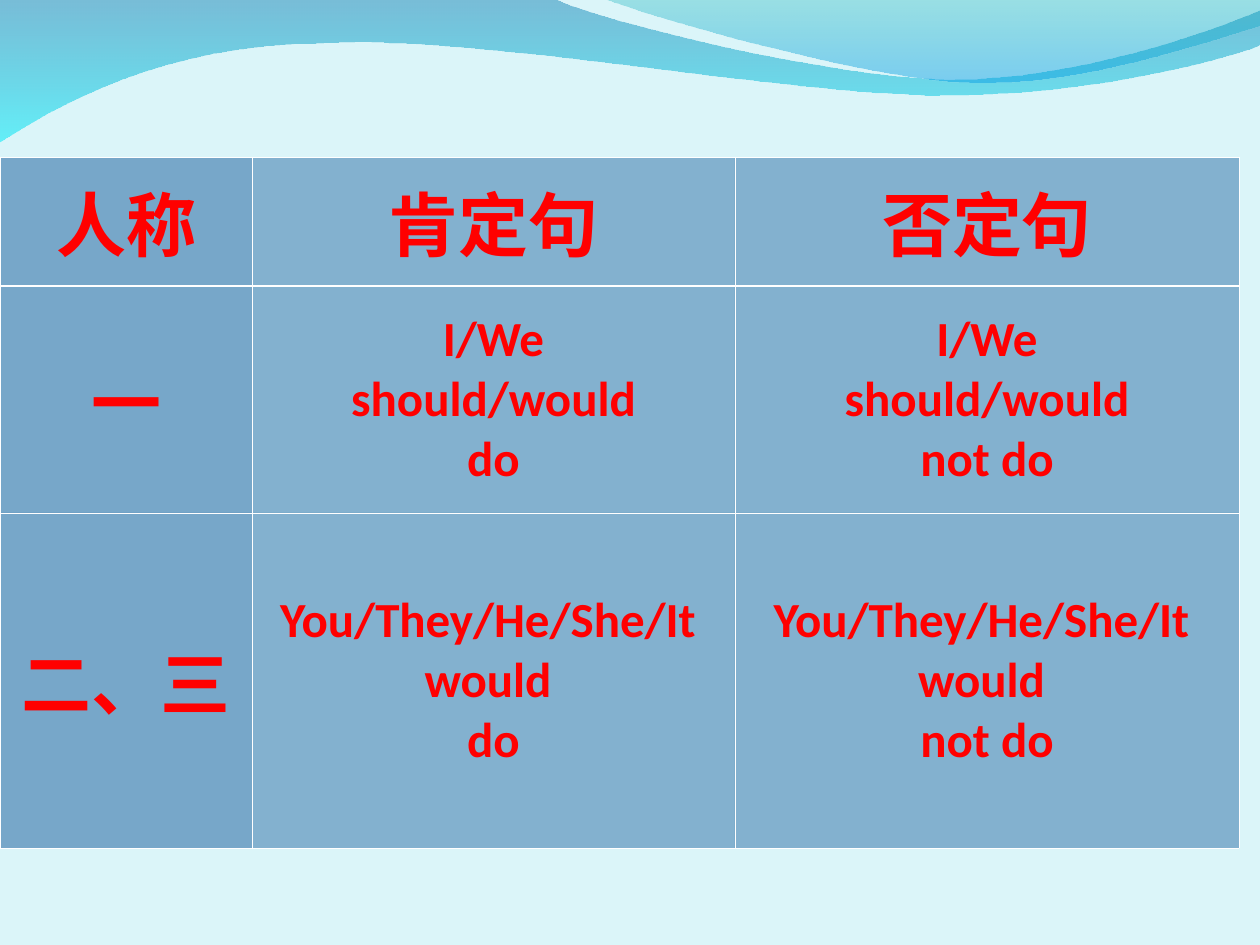
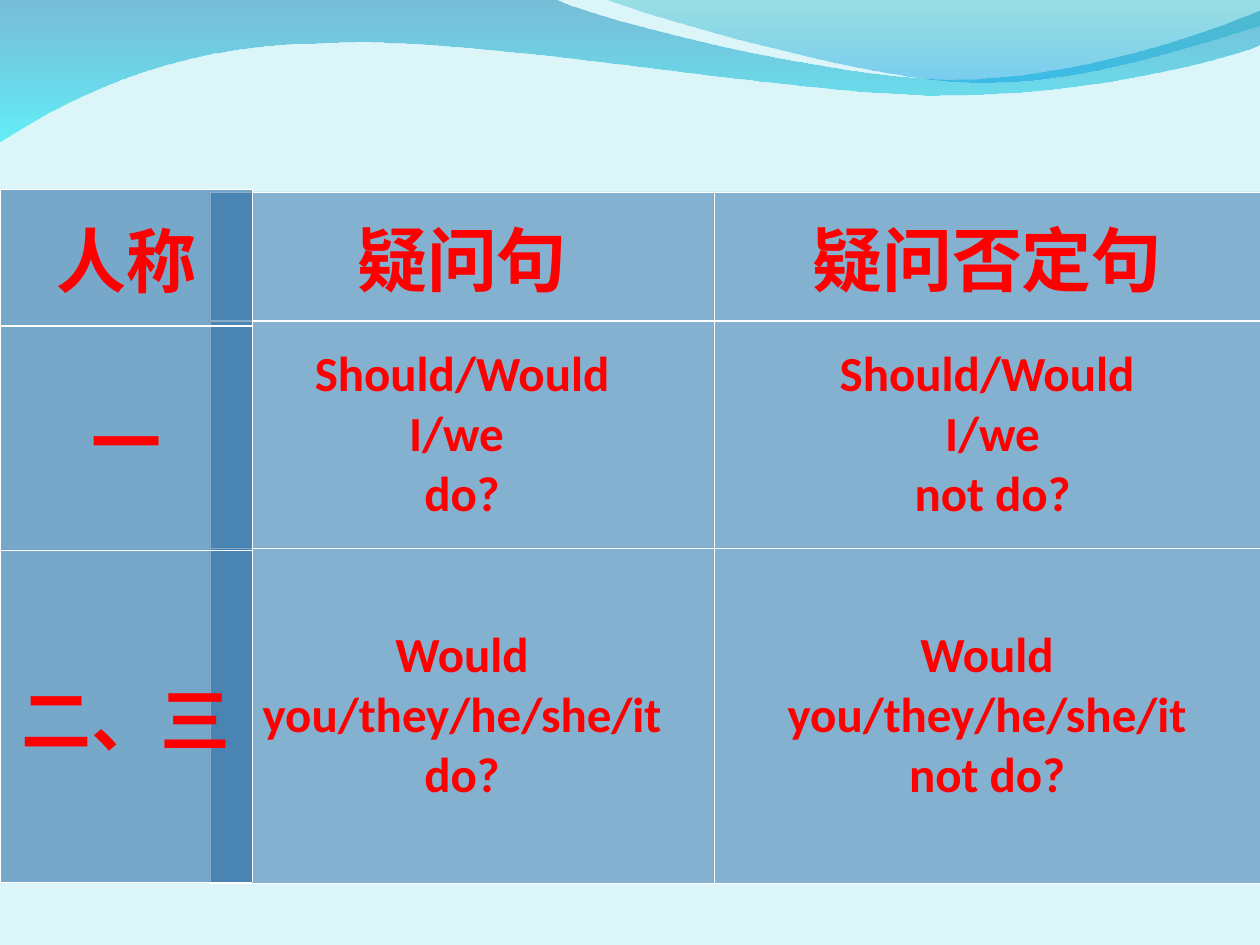
from dataclasses import dataclass
from lxml import etree
from pptx import Presentation
from pptx.dml.color import RGBColor
from pptx.enum.text import MSO_ANCHOR, PP_ALIGN
from pptx.oxml.ns import qn
from pptx.util import Pt

EMU_PER_PX = 914400 / 126
PAGE_WIDTH, PAGE_HEIGHT = 1260, 945
MIDDLE = MSO_ANCHOR.MIDDLE
CENTER = PP_ALIGN.CENTER
COLORS = {
    "page": "DBF5F9",
    "cell": "0B5395",
    "border": "FFFFFF",
    "text": "FF0000",
    "wave_top": "0079AF",
    "wave_bottom": "00EBF8",
    "crest_top": "00ADB6",
    "crest_bottom": "009BE5",
}
HEADING_FONT, HEADING_SIZE = "TeX Gyre Pagella", 40
BODY_FONT, BODY_SIZE = "Calibri", 28
THIN_LINE, HEADER_LINE = 0.45, 1.47
PERSON_OPACITY, FORM_OPACITY = 48, 42
PERSONS = ("人称", "一", "二、三")
FORM_ROWS = (129, 227, 335)

Point = tuple[int, int]


@dataclass(frozen=True)
class Wave:
    """A closed outline: one point adds a line, three add a cubic curve."""
    start: Point
    segments: tuple[tuple[Point, ...], ...]
    stops: tuple[tuple[str, int], ...]


@dataclass(frozen=True)
class Grid:
    """A table given by columns of text, its place and its sizes."""
    left: int
    top: int
    widths: tuple[int, ...]
    heights: tuple[int, ...]
    columns: tuple[tuple[str, ...], ...]
    has_persons: bool


WAVES = (
    Wave((0, -1), (
        ((554, -1),),
        ((600, 21), (837, 79), (955, 79)),
        ((1075, 79), (1207, 33), (1260, 11)),
        ((1261, 45),),
        ((1239, 55), (1096, 96), (940, 95)),
        ((784, 95), (481, 35), (324, 43)),
        ((163, 44), (58, 105), (-1, 142)),
    ), (("wave_top", 45), ("wave_bottom", 55))),
    Wave((604, -1), (
        ((641, 14), (859, 78), (969, 82)),
        ((1079, 87), (1211, 40), (1260, 26)),
        ((1260, 0),),
    ), (("crest_top", 30), ("crest_bottom", 45))),
)

STATEMENTS = Grid(0, 157, (252, 483, 504), FORM_ROWS, (
    PERSONS,
    ("肯定句", "I/We\nshould/would\ndo", "You/They/He/She/It \nwould \ndo"),
    ("否定句", "I/We\nshould/would\nnot do", "You/They/He/She/It \nwould \nnot do"),
), True)
QUESTIONS = Grid(210, 192, (504, 546), FORM_ROWS, (
    ("疑问句", "Should/Would\nI/we \ndo?", "Would\n you/they/he/she/it \ndo?"),
    ("疑问否定句", "Should/Would\n I/we\n not do?", "Would\n you/they/he/she/it \nnot do?"),
), False)
QUESTION_PERSONS = Grid(0, 189, (252,), (137, 224, 332), (PERSONS,), True)
PAGES = ((STATEMENTS,), (QUESTIONS, QUESTION_PERSONS))


def emu(px: float) -> int:
    """Turn px into EMU."""
    return round(px * EMU_PER_PX)


def rgb(name: str) -> RGBColor:
    """Look up a named colour."""
    return RGBColor.from_string(COLORS[name])


def set_opacity(color, percent: int) -> None:
    """Give a colour element an opacity."""
    etree.SubElement(color, qn("a:alpha"), val=str(percent * 1000))


def bend_lines(shape, wave: Wave) -> None:
    """Turn the lines that have control points into cubic curves."""
    ends = [wave.start] + [segment[-1] for segment in wave.segments]
    left, top = (min(axis) for axis in zip(*ends))
    lines = list(shape._element.spPr.iter(qn("a:lnTo")))
    for line, segment in zip(lines, wave.segments):
        if len(segment) == 3:
            line.tag = qn("a:cubicBezTo")
            controls = [
                etree.Element(qn("a:pt"), x=str(emu(x - left)), y=str(emu(y - top)))
                for x, y in segment[:2]
            ]
            line[:0] = controls


def draw_wave(page, wave: Wave) -> None:
    """Draw a translucent gradient wave."""
    builder = page.shapes.build_freeform(emu(wave.start[0]), emu(wave.start[1]))
    ends = [(emu(segment[-1][0]), emu(segment[-1][1])) for segment in wave.segments]
    builder.add_line_segments(ends, close=True)
    shape = builder.convert_to_shape()
    bend_lines(shape, wave)
    shape.shadow.inherit = False
    shape.line.fill.background()
    shape.fill.gradient()
    shape.fill.gradient_angle = 270
    for stop, (name, _) in zip(shape.fill.gradient_stops, wave.stops):
        stop.color.rgb = rgb(name)
    colors = shape._element.spPr.iter(qn("a:srgbClr"))
    for color, (_, opacity) in zip(list(colors), wave.stops):
        set_opacity(color, opacity)


def style_cell(cell, row: int, opacity: int) -> None:
    """Set the borders and the fill of a cell."""
    properties = cell._tc.get_or_add_tcPr()
    top = HEADER_LINE if row == 1 else THIN_LINE
    bottom = HEADER_LINE if row == 0 else THIN_LINE
    for side, width in zip("LRTB", (THIN_LINE, THIN_LINE, top, bottom)):
        line = etree.SubElement(properties, qn(f"a:ln{side}"), w=str(Pt(width)))
        fill = etree.SubElement(line, qn("a:solidFill"))
        etree.SubElement(fill, qn("a:srgbClr"), val=COLORS["border"])
    cell.fill.solid()
    cell.fill.fore_color.rgb = rgb("cell")
    set_opacity(properties.find(qn("a:solidFill"))[0], opacity)


def write_cell(cell, text: str, is_heading: bool) -> None:
    """Write centred bold lines into a cell."""
    cell.vertical_anchor = MIDDLE
    frame = cell.text_frame
    for index, line in enumerate(text.split("\n")):
        para = frame.add_paragraph() if index else frame.paragraphs[0]
        para.alignment = CENTER
        span = para.add_run()
        span.text = line
        span.font.name = HEADING_FONT if is_heading else BODY_FONT
        span.font.size = Pt(HEADING_SIZE if is_heading else BODY_SIZE)
        span.font.bold = True
        span.font.color.rgb = rgb("text")


def draw_grid(page, grid: Grid) -> None:
    """Draw a table of sentence forms."""
    table = page.shapes.add_table(
        len(grid.heights), len(grid.widths), emu(grid.left), emu(grid.top),
        emu(sum(grid.widths)), emu(sum(grid.heights)),
    ).table
    table.first_row = table.horz_banding = False
    for row, height in zip(table.rows, grid.heights):
        row.height = emu(height)
    for column, (width, texts) in enumerate(zip(grid.widths, grid.columns)):
        table.columns[column].width = emu(width)
        is_person = grid.has_persons and column == 0
        for row, text in enumerate(texts):
            cell = table.cell(row, column)
            style_cell(cell, row, PERSON_OPACITY if is_person else FORM_OPACITY)
            write_cell(cell, text, is_person or row == 0)


def main() -> None:
    """Build the deck."""
    deck = Presentation()
    deck.slide_width, deck.slide_height = emu(PAGE_WIDTH), emu(PAGE_HEIGHT)
    for grids in PAGES:
        page = deck.slides.add_slide(deck.slide_layouts[6])
        page.background.fill.solid()
        page.background.fill.fore_color.rgb = rgb("page")
        for wave in WAVES:
            draw_wave(page, wave)
        for grid in grids:
            draw_grid(page, grid)
    deck.save("out.pptx")


if __name__ == "__main__":
    main()
